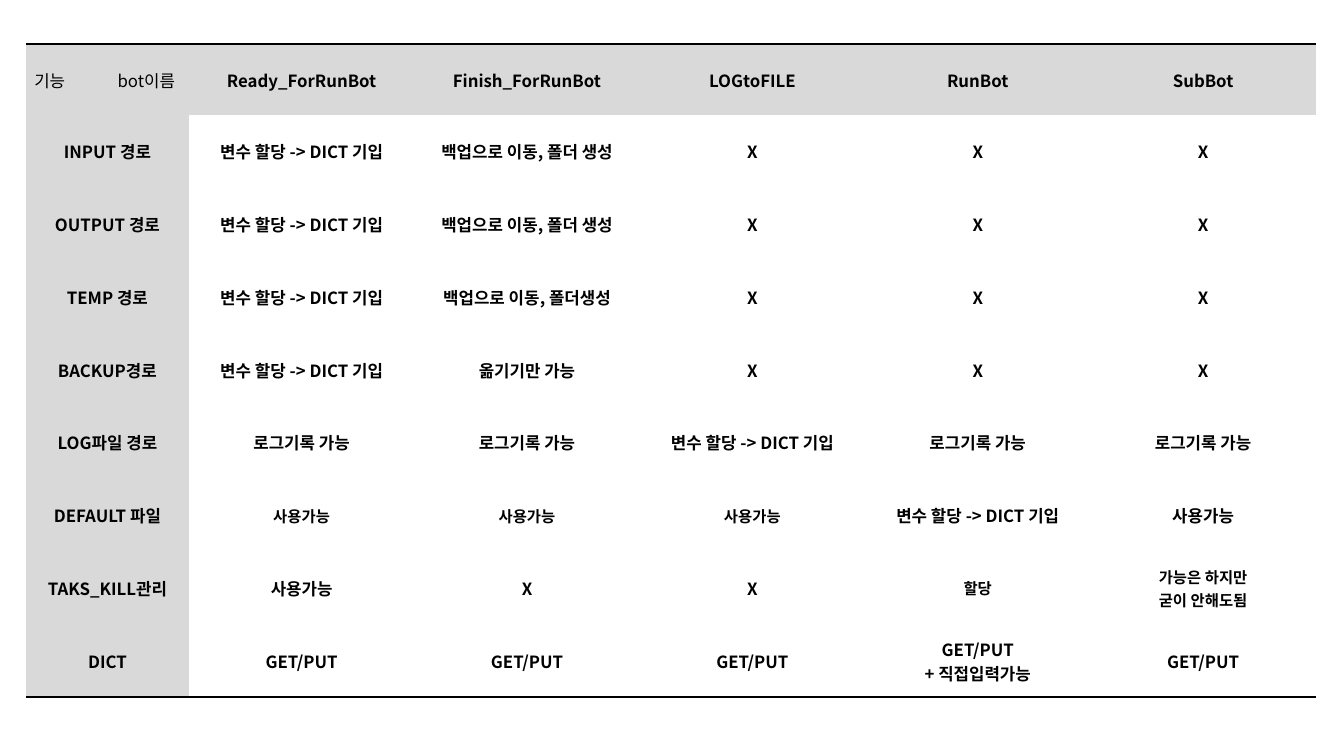
from dataclasses import dataclass

from lxml import etree
from pptx import Presentation
from pptx import util as u
from pptx.dml.color import RGBColor
from pptx.enum import text
from pptx.oxml import ns

PX = u.Inches(1) // 144
NO_STYLE = "{2D5ABB26-0587-4C30-8999-92F81FD0307C}"


@dataclass(frozen=True)
class Theme:
    """Colours, font and type sizes of the slide."""

    font: str = "Noto Sans CJK KR"
    ink: str = "000000"
    header_fill: str = "D9D9D9"
    body_size: int = 12
    small_size: int = 11
    rule_width: int = 1


THEME = Theme()

ASSIGN = "변수 할당 -> DICT 기입"
BACKUP = "백업으로 이동, 폴더 생성"
LOGGING = "로그기록 가능"
USABLE = "사용가능"
GET_PUT = "GET/PUT"

BOT_FEATURES = [
    ["기능\tbot이름", "Ready_ForRunBot", "Finish_ForRunBot", "LOGtoFILE", "RunBot", "SubBot"],
    ["INPUT 경로", ASSIGN, BACKUP, "X", "X", "X"],
    ["OUTPUT 경로", ASSIGN, BACKUP, "X", "X", "X"],
    ["TEMP 경로", ASSIGN, "백업으로 이동, 폴더생성", "X", "X", "X"],
    ["BACKUP경로", ASSIGN, "옮기기만 가능", "X", "X", "X"],
    ["LOG파일 경로", LOGGING, LOGGING, ASSIGN, LOGGING, LOGGING],
    ["DEFAULT 파일", USABLE, USABLE, USABLE, ASSIGN, USABLE],
    ["TAKS_KILL관리", USABLE, "X", "X", "할당", "가능은 하지만\n굳이 안해도됨"],
    ["DICT", GET_PUT, GET_PUT, GET_PUT, GET_PUT + "\n+ 직접입력가능", GET_PUT],
]
SMALL_CELLS = {(6, 1), (6, 2), (6, 3), (7, 4), (7, 5)}


def px(length):
    """Turn whole pixels into EMU."""
    return u.Emu(length * PX)


def write_cell(cell, wording, size, bold):
    """Fill a cell with centred paragraphs, one for each line of wording."""
    cell.vertical_anchor = text.MSO_ANCHOR.MIDDLE
    cell.margin_left = cell.margin_right = cell.margin_top = px(1)
    cell.margin_bottom = 0
    frame = cell.text_frame
    for index, line in enumerate(wording.split("\n")):
        paragraph = frame.add_paragraph() if index else frame.paragraphs[0]
        paragraph.alignment = text.PP_ALIGN.CENTER
        run = paragraph.add_run()
        run.text = line
        run.font.name = THEME.font
        run.font.size = u.Pt(size)
        run.font.bold = bold
        run.font.color.rgb = RGBColor.from_string(THEME.ink)
        east_asian = etree.SubElement(run.font._element, ns.qn("a:ea"))
        east_asian.set("typeface", THEME.font)


def shade_cell(cell, is_header):
    """Shade a header cell and leave a body cell clear."""
    if is_header:
        cell.fill.solid()
        cell.fill.fore_color.rgb = RGBColor.from_string(THEME.header_fill)
    else:
        cell.fill.background()


def rule_cell(cell, side):
    """Draw a rule on one side of a cell, lnT or lnB."""
    rule = etree.Element(ns.qn(f"a:{side}"), w=str(u.Pt(THEME.rule_width)))
    fill = etree.SubElement(rule, ns.qn("a:solidFill"))
    etree.SubElement(fill, ns.qn("a:srgbClr"), val=THEME.ink)
    cell._tc.get_or_add_tcPr().insert(0, rule)


def split_corner(cell, inset, tab):
    """Set the two corner labels apart with a tab stop."""
    cell.margin_left = px(inset)
    paragraph = cell.text_frame.paragraphs[0]
    paragraph.alignment = text.PP_ALIGN.LEFT
    stops = etree.SubElement(paragraph._p.get_or_add_pPr(), ns.qn("a:tabLst"))
    etree.SubElement(stops, ns.qn("a:tab"), pos=str(px(tab)), algn="l")


def add_feature_table(slide, features, left, top, widths, heights):
    """Add the table of features by bot."""
    frame = slide.shapes.add_table(
        len(heights), len(widths), px(left), px(top), px(sum(widths)), px(sum(heights))
    )
    table = frame.table
    table.first_row = table.horz_banding = False
    table._tbl.tblPr.find(ns.qn("a:tableStyleId")).text = NO_STYLE
    for column, width in zip(table.columns, widths):
        column.width = px(width)
    for row, height in zip(table.rows, heights):
        row.height = px(height)
    for r, feature in enumerate(features):
        for c, wording in enumerate(feature):
            cell = table.cell(r, c)
            size = THEME.small_size if (r, c) in SMALL_CELLS else THEME.body_size
            write_cell(cell, wording, size, bold=r + c > 0)
            shade_cell(cell, is_header=r == 0 or c == 0)
            if r == 0:
                rule_cell(cell, "lnT")
            elif r == len(features) - 1:
                rule_cell(cell, "lnB")
    split_corner(table.cell(0, 0), inset=12, tab=119)


def main():
    """Build the slide and save it."""
    deck = Presentation()
    deck.slide_width, deck.slide_height = px(1920), px(1080)
    slide = deck.slides.add_slide(deck.slide_layouts[6])
    add_feature_table(
        slide, BOT_FEATURES, left=37, top=63, widths=[233] + [322] * 5, heights=[101] + [104] * 8
    )
    deck.save("out.pptx")


if __name__ == "__main__":
    main()
